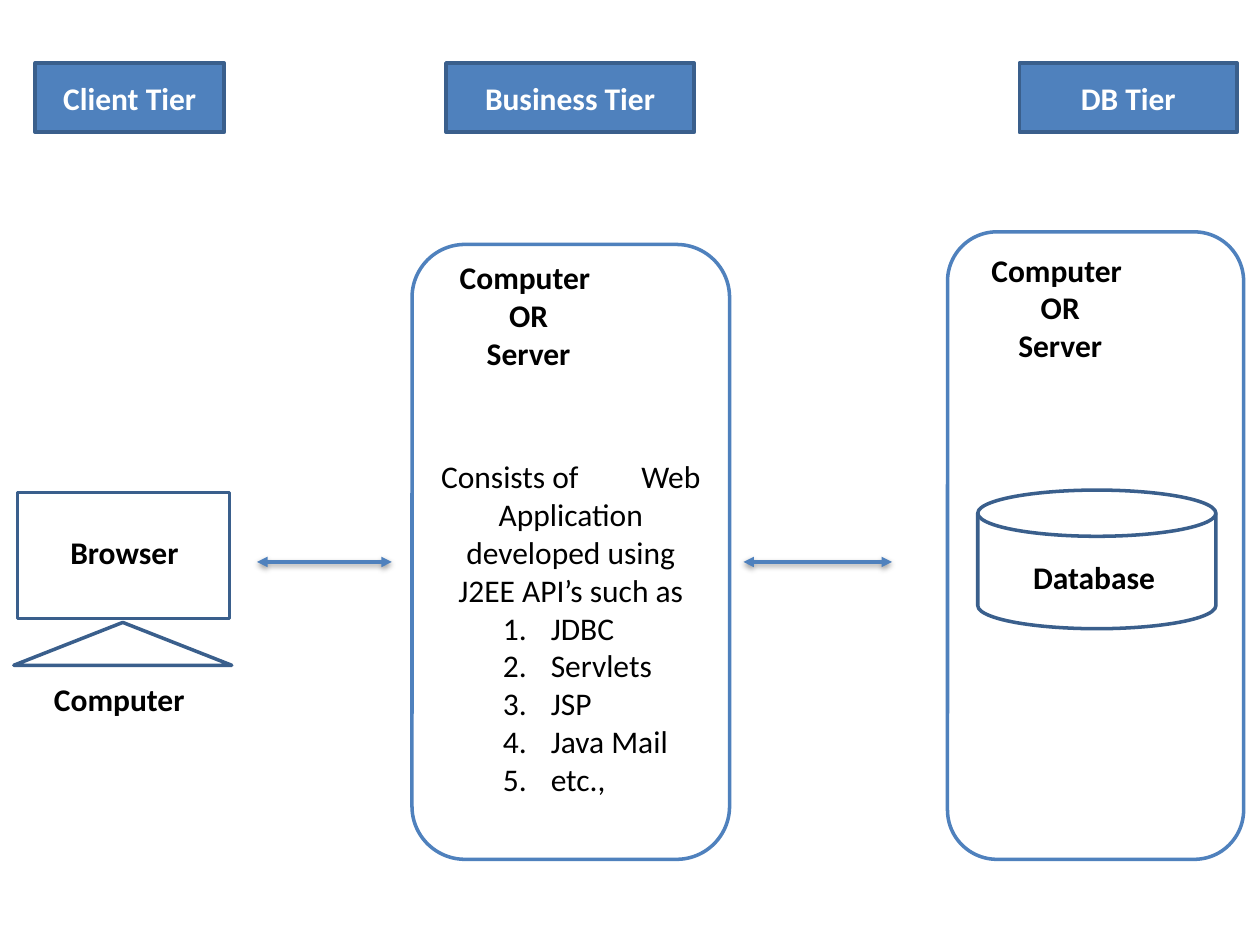
from lxml import etree
from pptx import Presentation
from pptx import util as u
from pptx.dml.color import RGBColor
from pptx.enum import shapes, text
from pptx.oxml import parse_xml
from pptx.oxml.ns import nsdecls, qn

FONT, SIZE = "Calibri", 18
BLUE, DARK_BLUE, WHITE, BLACK = "4F81BD", "3A5F8C", "FFFFFF", "000000"
LINE_WIDTH = 2
SHAPE = shapes.MSO_SHAPE
CENTER, LEFT = text.PP_ALIGN.CENTER, text.PP_ALIGN.LEFT
ARROW_SHADOW = (
    f'<a:effectLst {nsdecls("a")}>'
    '<a:outerShdw blurRad="40000" dist="20000" dir="5400000" rotWithShape="0">'
    '<a:srgbClr val="000000"><a:alpha val="38000"/></a:srgbClr>'
    '</a:outerShdw></a:effectLst>'
)


def color(value):
    return RGBColor.from_string(value)


def write(paragraph, words, bold=False, fill=BLACK, align=CENTER):
    paragraph.alignment = align
    run = paragraph.add_run()
    run.text = words
    run.font.name, run.font.size, run.font.bold = FONT, u.Pt(SIZE), bold
    run.font.color.rgb = color(fill)


def add_tab(paragraph, position):
    tabs = etree.SubElement(paragraph._p.get_or_add_pPr(), qn("a:tabLst"))
    etree.SubElement(tabs, qn("a:tab"), pos=str(u.Inches(position)), algn="l")


def number(paragraph, margin, indent):
    """Turn a paragraph into an item of a numbered list."""
    paragraph.level = 1
    properties = paragraph._p.get_or_add_pPr()
    properties.set("marL", str(u.Inches(margin)))
    properties.set("indent", str(u.Inches(indent)))
    etree.SubElement(properties, qn("a:buFont"), typeface="+mj-lt")
    etree.SubElement(properties, qn("a:buAutoNum"), type="arabicPeriod")


class Diagram:
    def __init__(self, slide):
        self.slide = slide

    def shape(self, kind, left, top, width, height, fill=None, line=DARK_BLUE):
        shape = self.slide.shapes.add_shape(
            kind, *map(u.Inches, (left, top, width, height)))
        shape.shadow.inherit = False
        if fill:
            shape.fill.solid()
            shape.fill.fore_color.rgb = color(fill)
        else:
            shape.fill.background()
        shape.line.color.rgb = color(line)
        shape.line.width = u.Pt(LINE_WIDTH)
        return shape

    def tier(self, name, left, width):
        header = self.shape(SHAPE.RECTANGLE, left, 0.5, width, 0.55, fill=BLUE)
        write(header.text_frame.paragraphs[0], name, bold=True, fill=WHITE)

    def machine(self, left, top, width, height):
        return self.shape(SHAPE.ROUNDED_RECTANGLE, left, top, width, height,
                          fill=WHITE, line=BLUE)

    def label(self, lines, left, top, width, height=0.4, align=CENTER):
        box = self.slide.shapes.add_textbox(
            *map(u.Inches, (left, top, width, height)))
        frame = box.text_frame
        frame.word_wrap = False
        frame.auto_size = text.MSO_AUTO_SIZE.SHAPE_TO_FIT_TEXT
        for index, line in enumerate(lines):
            paragraph = frame.add_paragraph() if index else frame.paragraphs[0]
            write(paragraph, line, bold=True, align=align)

    def double_arrow(self, start, end, y):
        arrow = self.slide.shapes.add_connector(
            shapes.MSO_CONNECTOR.STRAIGHT,
            *map(u.Inches, (start, y, end, y)))
        arrow.line.color.rgb = color(BLUE)
        arrow.line.width = u.Pt(LINE_WIDTH)
        line = arrow.line._get_or_add_ln()
        for end_name in ("a:headEnd", "a:tailEnd"):
            etree.SubElement(line, qn(end_name), type="triangle")
        arrow._element.spPr.append(parse_xml(ARROW_SHADOW))


def describe_application(server):
    frame = server.text_frame
    frame.margin_top = u.Inches(1.25)
    intro = frame.paragraphs[0]
    add_tab(intro, 1.59)
    write(intro, "Consists of\tWeb Application developed using J2EE API’s such as")
    for api in ("JDBC", "Servlets", "JSP", "Java Mail", "etc.,"):
        item = frame.add_paragraph()
        number(item, 0.88, -0.38)
        write(item, api, align=LEFT)


def main():
    presentation = Presentation()
    presentation.slide_width, presentation.slide_height = u.Inches(10), u.Inches(7.5)
    diagram = Diagram(presentation.slides.add_slide(presentation.slide_layouts[6]))

    for name, left, width in (("Client Tier", 0.28, 1.5),
                              ("Business Tier", 3.54, 1.97),
                              ("DB Tier", 8.09, 1.73)):
        diagram.tier(name, left, width)

    # Client
    diagram.shape(SHAPE.ISOSCELES_TRIANGLE, 0.11, 4.94, 1.73, 0.34)
    diagram.shape(SHAPE.RECTANGLE, 0.14, 3.91, 1.68, 1)
    diagram.label(["Browser"], 0.46, 4.18, 1.07, align=LEFT)
    diagram.label(["Computer "], 0.32, 5.35, 1.31)

    # Business and database servers
    machine_name = ["Computer ", "OR", "Server"]
    describe_application(diagram.machine(3.27, 1.94, 2.52, 4.88))
    diagram.label(machine_name, 3.54, 2, 1.31, 1.01)
    diagram.machine(7.52, 1.84, 2.35, 4.98)
    diagram.label(machine_name, 7.76, 1.94, 1.31, 1.01)
    diagram.shape(SHAPE.FLOWCHART_MAGNETIC_DISK, 7.76, 3.89, 1.89, 1.1)
    diagram.label(["Database"], 8.1, 4.38, 1.18, align=LEFT)

    for start, end in ((2.04, 3.11), (5.9, 7.08)):
        diagram.double_arrow(start, end, 4.46)

    presentation.save("out.pptx")


if __name__ == "__main__":
    main()
